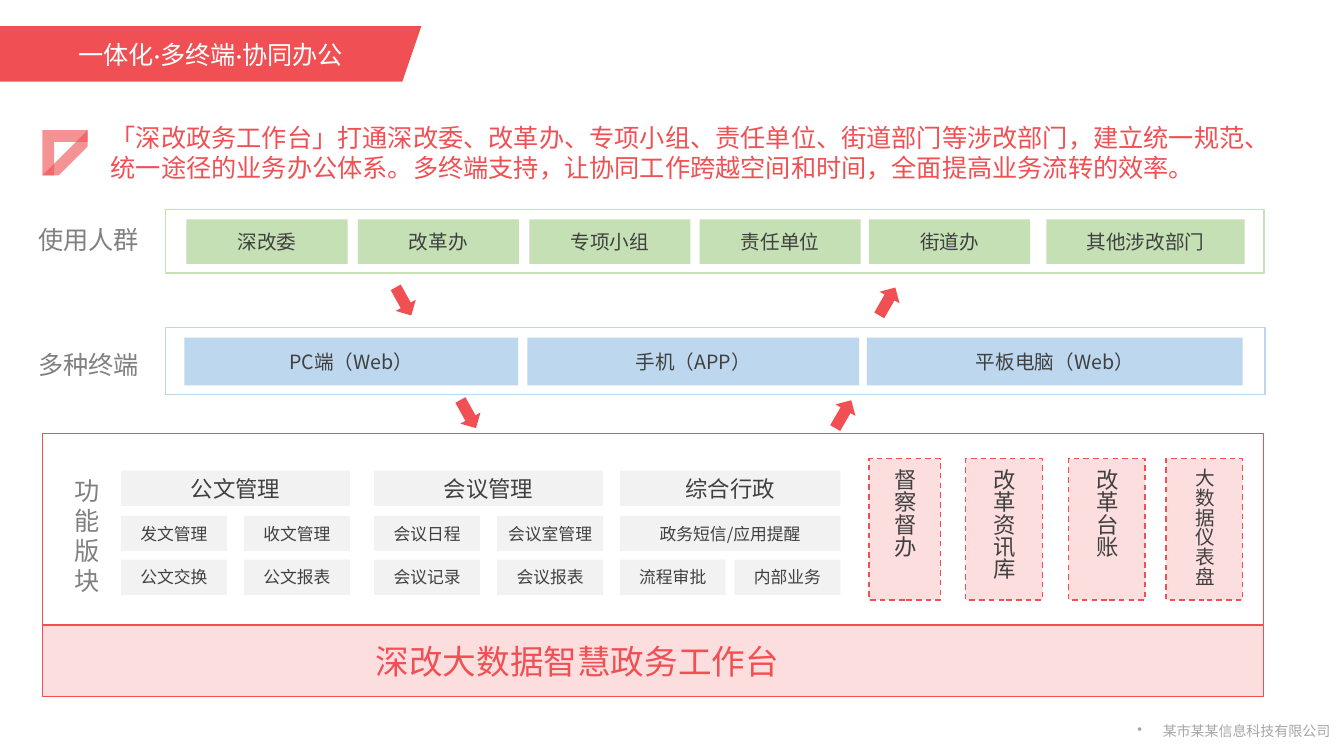
from lxml.etree import SubElement
from pptx import Presentation
from pptx.dml.color import RGBColor
from pptx.enum.dml import MSO_LINE
from pptx.enum.shapes import MSO_SHAPE as Preset
from pptx.enum.text import MSO_ANCHOR as Anchor, MSO_AUTO_SIZE as AutoSize, PP_ALIGN as Align
from pptx.oxml.ns import qn
from pptx.util import Cm, Pt

RED = RGBColor(0xF0, 0x50, 0x53)
PINK = RGBColor(0xFD, 0xDE, 0xDF)
GREEN = RGBColor(0xC5, 0xE0, 0xB4)
BLUE = RGBColor(0xBD, 0xD7, 0xEE)
PALE = RGBColor(0xF2, 0xF2, 0xF2)
DARK = RGBColor(0x40, 0x40, 0x40)
GREY = RGBColor(0x80, 0x80, 0x80)
SILVER = RGBColor(0xA6, 0xA6, 0xA6)
WHITE = RGBColor(0xFF, 0xFF, 0xFF)
SANS = "Noto Sans CJK SC"


def write(holder, text, size=14, color=DARK, font=SANS, align=Align.CENTER,
          anchor=Anchor.MIDDLE, pitch=None, vertical=False):
    """Fill a shape's text frame with one formatted paragraph and return it."""
    frame = holder.text_frame
    frame.word_wrap = True
    frame.auto_size = AutoSize.NONE
    frame.vertical_anchor = anchor
    if vertical:
        frame._txBody.bodyPr.set("vert", "eaVert")
    line = frame.paragraphs[0]
    line.alignment = align
    if pitch:
        line.line_spacing = Pt(pitch)
    run = line.add_run()
    run.text = text
    run.font.size, run.font.name = Pt(size), font
    run.font.color.rgb = color
    SubElement(run._r.get_or_add_rPr(), qn("a:ea")).set("typeface", SANS)
    return line


def note(slide, left, top, width, height, text, **style):
    """Add a text box with left-aligned text from its top."""
    box = slide.shapes.add_textbox(Cm(left), Cm(top), Cm(width), Cm(height))
    return write(box, text, **{"align": Align.LEFT, "anchor": Anchor.TOP, **style})


def paint(shape, fill=None, line=None, dashed=False):
    """Set fill and outline of a shape and drop its shadow."""
    shape.shadow.inherit = False
    if fill is None:
        shape.fill.background()
    else:
        shape.fill.solid()
        shape.fill.fore_color.rgb = fill
    if line is None:
        shape.line.fill.background()
    else:
        shape.line.color.rgb = line
        shape.line.width = Pt(1)
        if dashed:
            shape.line.dash_style = MSO_LINE.DASH
    return shape


def block(slide, left, top, width, height, preset=Preset.RECTANGLE, rotation=0, **look):
    """Add a painted preset shape."""
    shape = slide.shapes.add_shape(preset, Cm(left), Cm(top), Cm(width), Cm(height))
    shape.rotation = rotation
    return paint(shape, **look)


def banner(slide, left, top, width, height, text):
    """Draw the slanted ribbon and lay the title over it."""
    outline = slide.shapes.build_freeform(Cm(left), Cm(top))
    outline.add_line_segments([(Cm(left + x), Cm(top + y)) for x, y in
                               ((width, 0), (width - 0.48, height), (0, height))])
    paint(outline.convert_to_shape(), fill=RED)
    title = slide.shapes.title
    slide.shapes._spTree.append(title._element)
    title.left, title.top, title.width, title.height = map(Cm, (left, top, width, height))
    write(title, text, size=18, color=WHITE, font="Calibri")


def intro(slide, left, top, width, height, text):
    """Place the folded corner mark and the summary beside it."""
    for preset, rotation, bends in ((Preset.CORNER, 90, (0.26, 0.26)),
                                    (Preset.DIAGONAL_STRIPE, 180, (0.64,))):
        mark = block(slide, left, top + 0.33, 1.14, 1.14, preset, rotation, fill=RED)
        for index, bend in enumerate(bends):
            mark.adjustments[index] = bend
        tint = mark._element.spPr.find(qn("a:solidFill"))[0]
        SubElement(tint, qn("a:alpha")).set("val", "62000")
    note(slide, left + 1.47, top, width - 1.47, height, text, size=18, color=RED, pitch=21.5)


def layer(slide, left, top, width, height, label, label_drop, color, cells):
    """Draw a labelled frame holding a row of coloured cells."""
    note(slide, left - 3.46, top + label_drop, 3.1, 1.02, label, size=18, color=GREY, pitch=21.5)
    for offset, cell_width, text in cells:
        write(block(slide, left + offset, top + 0.25, cell_width, height - 0.48, fill=color), text)
    block(slide, left, top, width, height, line=color)


def flow(slide, left, top, width, height):
    """Place a downward and an upward arrow at the two ends of a box."""
    for offset, rotation in ((0, 331), (width - 0.58, 210)):
        block(slide, left + offset, top, 0.58, height, Preset.DOWN_ARROW, rotation, fill=RED)


def module(slide, left, top, width, heading, rows):
    """Draw a module heading above rows of functions flush with both sides."""
    write(block(slide, left, top, width, 0.89, fill=PALE), heading, size=16)
    for index, row in enumerate(rows):
        cell_width = width if len(row) == 1 else 2.67
        for text, offset in zip(row, (0, width - cell_width)):
            cell = block(slide, left + offset, top + 1.14 + 1.1 * index, cell_width, 0.89, fill=PALE)
            write(cell, text, size=12)


def functions(slide, left, top, width, height, label, modules, pillars, platform):
    """Draw the function panel with its modules, pillars and platform base."""
    block(slide, left, top, width, height, line=RED)
    note(slide, left + 0.56, top + 0.94, 1.27, 3.33, label, size=18, color=GREY, pitch=21.5)
    for offset, module_width, heading, rows in modules:
        module(slide, left + offset, top + 0.94, module_width, heading, rows)
    for offset, pillar_width, size, text in pillars:
        pillar = block(slide, left + offset, top + 0.64, pillar_width, 3.56,
                       fill=PINK, line=RED, dashed=True)
        write(pillar, text, size=size, align=Align.LEFT, vertical=True)
    block(slide, left, top + height, width, 1.8, fill=PINK, line=RED)
    note(slide, left + 8.15, top + height, 15.06, 1.8, platform,
         size=24, color=RED, anchor=Anchor.MIDDLE)


def company(slide, left, top, width, height, name):
    """Place the bulleted company name at the foot."""
    line = note(slide, left, top, width, height, name, size=10, color=SILVER,
                align=Align.RIGHT, anchor=Anchor.MIDDLE)
    line.line_spacing = 0.9
    properties = line._p.get_or_add_pPr()
    properties.set("marL", str(Cm(0.64)))
    properties.set("indent", str(-Cm(0.64)))
    SubElement(properties, qn("a:buChar")).set("char", "•")


USERS = [(0.53, 4.06, "深改委"), (4.85, 4.06, "改革办"), (9.17, 4.06, "专项小组"),
         (13.46, 4.06, "责任单位"), (17.73, 4.06, "街道办"), (22.2, 5, "其他涉改部门")]
DEVICES = [(0.48, 8.41, "PC端（Web）"), (9.12, 8.36, "手机（APP）"), (17.68, 9.47, "平板电脑（Web）")]
MODULES = [
    (1.98, 5.77, "公文管理", [("发文管理", "收文管理"), ("公文交换", "公文报表")]),
    (8.36, 5.77, "会议管理", [("会议日程", "会议室管理"), ("会议记录", "会议报表")]),
    (14.55, 5.56, "综合行政", [("政务短信/应用提醒",), ("流程审批", "内部业务")]),
]
PILLARS = [(20.83, 1.8, 16, "督察督办"), (23.27, 1.93, 16, "改革资讯库"),
           (25.86, 1.93, 16, "改革台账"), (28.32, 1.93, 14, "大数据仪表盘")]
SUMMARY = ("「深改政务工作台」打通深改委、改革办、专项小组、责任单位、街道部门等涉改部门，"
           "建立统一规范、统一途径的业务办公体系。多终端支持，让协同工作跨越空间和时间，"
           "全面提高业务流转的效率。")

deck = Presentation()
deck.slide_width, deck.slide_height = Cm(33.87), Cm(19.05)
office = deck.slides.add_slide(deck.slide_layouts[5])
banner(office, 0, 0.66, 10.62, 1.4, "一体化·多终端·协同办公")
intro(office, 1.07, 2.95, 30.78, 1.8, SUMMARY)
layer(office, 4.17, 5.28, 27.69, 1.6, "使用人群", 0.26, GREEN, USERS)
flow(office, 9.88, 7.19, 12.77, 0.81)
layer(office, 4.17, 8.26, 27.71, 1.68, "多种终端", 0.43, BLUE, DEVICES)
flow(office, 11.51, 10.03, 10.03, 0.81)
functions(office, 1.07, 10.92, 30.78, 4.83, "功能版块", MODULES, PILLARS, "深改大数据智慧政务工作台")
company(office, 27.86, 18.06, 5.91, 0.79, "某市某某信息科技有限公司")
deck.save("out.pptx")
